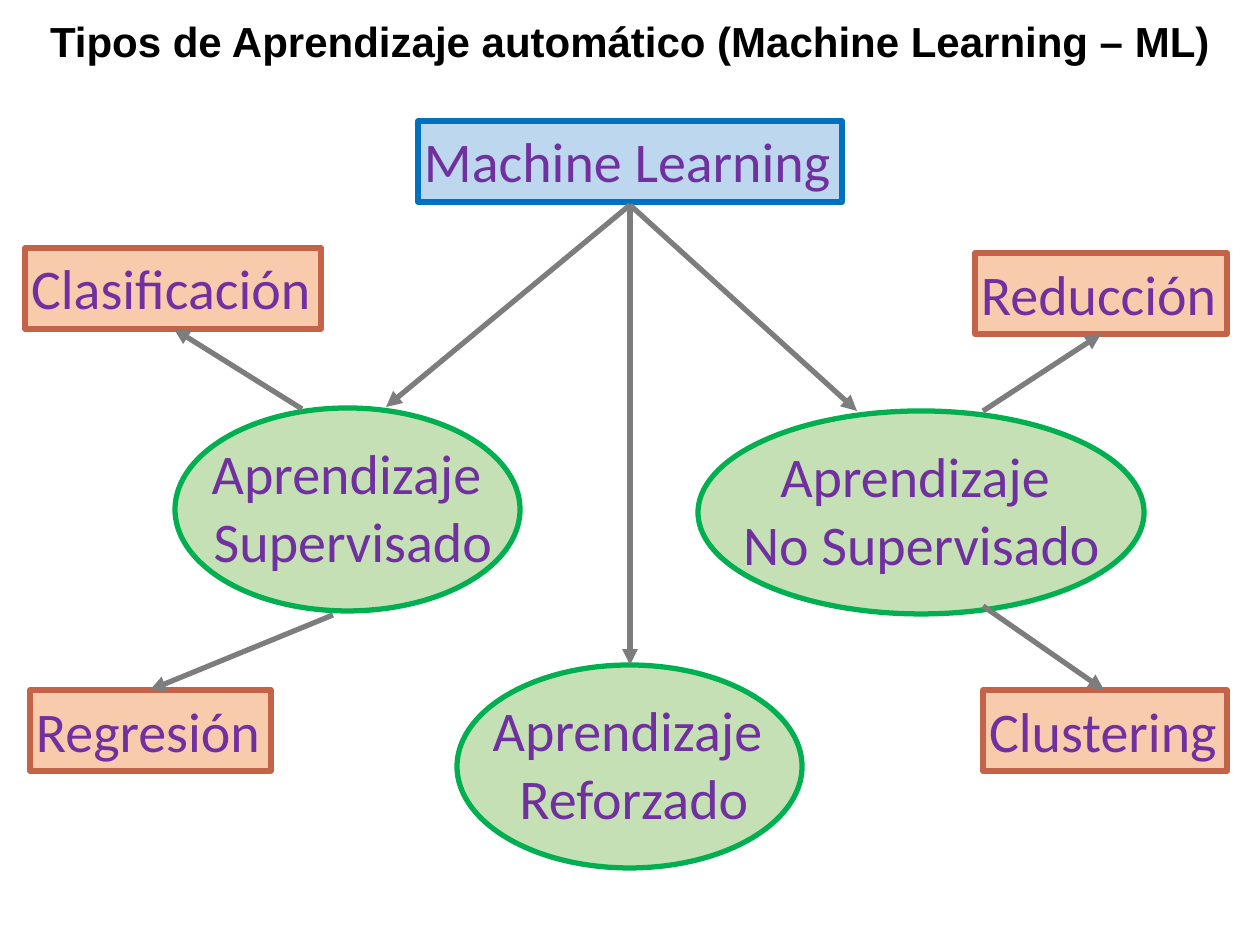
from lxml import etree
from pptx import Presentation
from pptx import util as u
from pptx.dml.color import RGBColor
from pptx.enum import shapes, text
from pptx.oxml.ns import qn

EMU_PER_PX = 914400 / 126
PURPLE, GREY = "7030A0", "7D7D7D"
BLUE_BOX = ("BDD7EE", "0070C0")
ORANGE_BOX = ("F8CBAD", "C46348")
GREEN_OVAL = ("C5E0B4", "00B050")


def px(*lengths):
    """Turn pixel lengths into EMU."""
    return [u.Emu(round(length * EMU_PER_PX)) for length in lengths]


def color(hex_code):
    """Return the colour of a hex string."""
    return RGBColor.from_string(hex_code)


def write(frame, words, font, size, ink, align, bold=False, wrap=False, inset=None):
    """Fill a text frame and format its runs."""
    frame.text = words
    frame.word_wrap = wrap
    frame.auto_size = text.MSO_AUTO_SIZE.SHAPE_TO_FIT_TEXT
    frame.vertical_anchor = text.MSO_ANCHOR.TOP
    if inset is not None:
        margin = px(inset)[0]
        frame.margin_left = frame.margin_right = margin
        frame.margin_top = frame.margin_bottom = margin
    for paragraph in frame.paragraphs:
        paragraph.alignment = align
        for run in paragraph.runs:
            run.font.name = font
            run.font.size = u.Pt(size)
            run.font.bold = bold
            run.font.color.rgb = color(ink)


def add_node(slide, preset, bounds, colors):
    """Add a filled and outlined shape."""
    fill, outline = colors
    node = slide.shapes.add_shape(preset, *px(*bounds))
    node.shadow.inherit = False
    node.fill.solid()
    node.fill.fore_color.rgb = color(fill)
    node.line.color.rgb = color(outline)
    node.line.width = u.Pt(3)
    return node


def add_box(slide, words, bounds, colors):
    """Add a rectangle that holds its label."""
    box = add_node(slide, shapes.MSO_SHAPE.RECTANGLE, bounds, colors)
    write(box.text_frame, words, "Calibri", 32, PURPLE, text.PP_ALIGN.LEFT, inset=6)


def add_oval(slide, words, bounds, label_left, label_width):
    """Add a learning type as an oval with a label over it."""
    add_node(slide, shapes.MSO_SHAPE.OVAL, bounds, GREEN_OVAL)
    label_top = bounds[1] + 25
    label = slide.shapes.add_textbox(*px(label_left, label_top, label_width, 149))
    write(label.text_frame, words, "Calibri", 32, PURPLE, text.PP_ALIGN.CENTER, inset=6)


def add_arrow(slide, start, end):
    """Add a grey arrow between two points."""
    arrow = slide.shapes.add_connector(shapes.MSO_CONNECTOR.STRAIGHT, *px(*start, *end))
    arrow.line.color.rgb = color(GREY)
    arrow.line.width = u.Pt(3)
    etree.SubElement(arrow.line._get_or_add_ln(), qn("a:tailEnd"), type="triangle")
    etree.SubElement(arrow._element.spPr, qn("a:effectLst"))


def add_title(slide, words):
    """Add the heading across the slide."""
    title = slide.shapes.add_textbox(*px(0, 9, 1260, 102))
    write(title.text_frame, words, "Arial", 24, "000000", text.PP_ALIGN.CENTER,
          bold=True, wrap=True)


def main():
    """Build the slide and save it."""
    deck = Presentation()
    deck.slide_width, deck.slide_height = px(1260, 945)
    slide = deck.slides.add_slide(deck.slide_layouts[6])

    add_box(slide, "Machine Learning", (418, 121, 424, 81), BLUE_BOX)
    tasks = [
        ("Clasificación", 25, 248, 296),
        ("Clustering", 983, 690, 244),
        ("Reducción", 975, 253, 252),
        ("Regresión", 30, 690, 241),
    ]
    for words, left, top, width in tasks:
        add_box(slide, words, (left, top, width, 81), ORANGE_BOX)

    learning_types = [
        ("Supervisado", (175, 408, 345, 203), 203, 300),
        ("No Supervisado", (698, 411, 446, 203), 735, 373),
        ("Reforzado", (457, 665, 345, 203), 484, 300),
    ]
    for kind, bounds, label_left, label_width in learning_types:
        add_oval(slide, f"Aprendizaje \n{kind}", bounds, label_left, label_width)

    root = (630, 205)
    for learning_type in [(857, 411), (630, 665), (386, 407)]:
        add_arrow(slide, root, learning_type)
    task_arrows = [
        ((333, 615), (150, 690)),
        ((302, 409), (174, 329)),
        ((983, 606), (1104, 690)),
        ((983, 411), (1101, 334)),
    ]
    for start, end in task_arrows:
        add_arrow(slide, start, end)

    add_title(slide, "Tipos de Aprendizaje automático (Machine Learning – ML)")
    deck.save("out.pptx")


if __name__ == "__main__":
    main()
